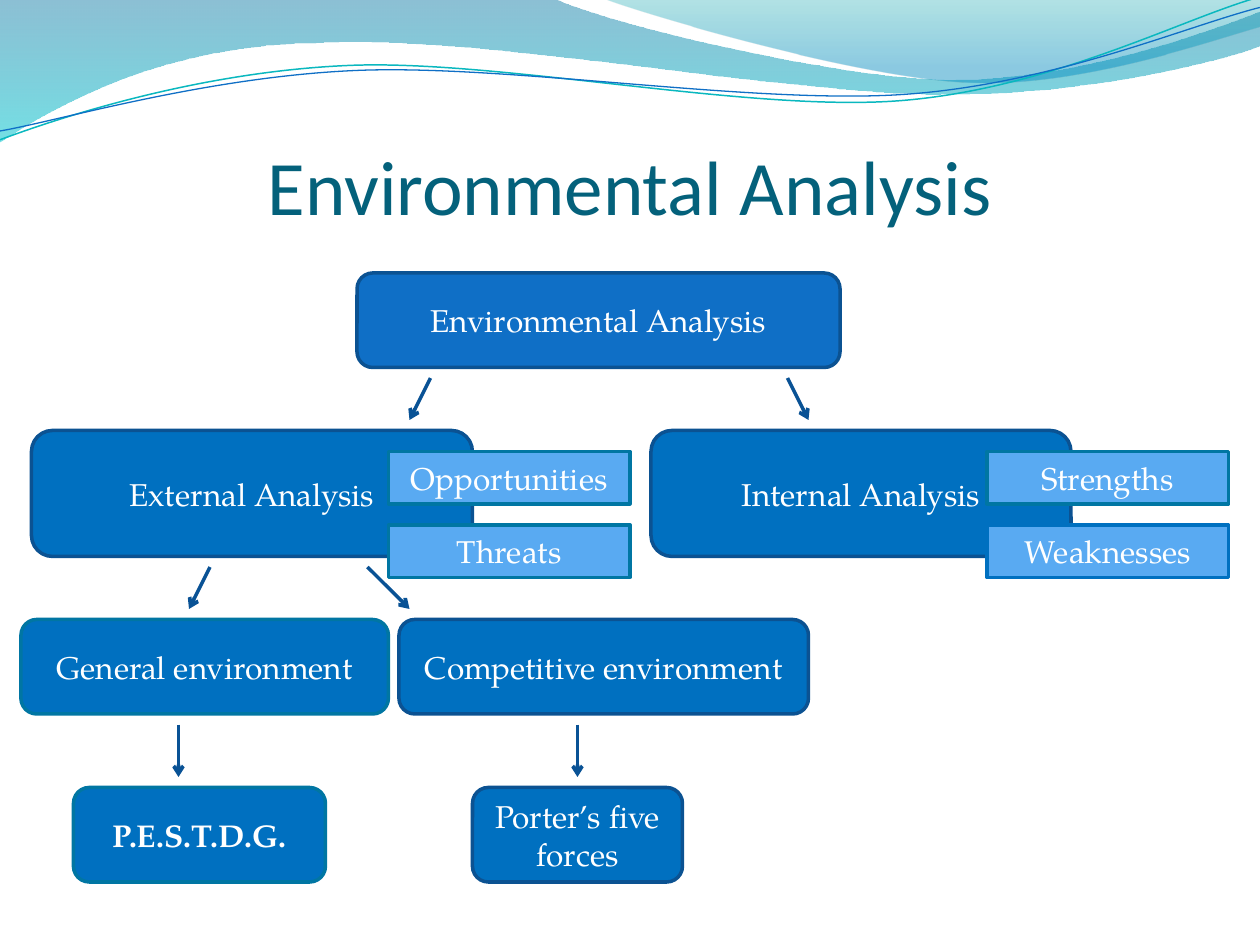
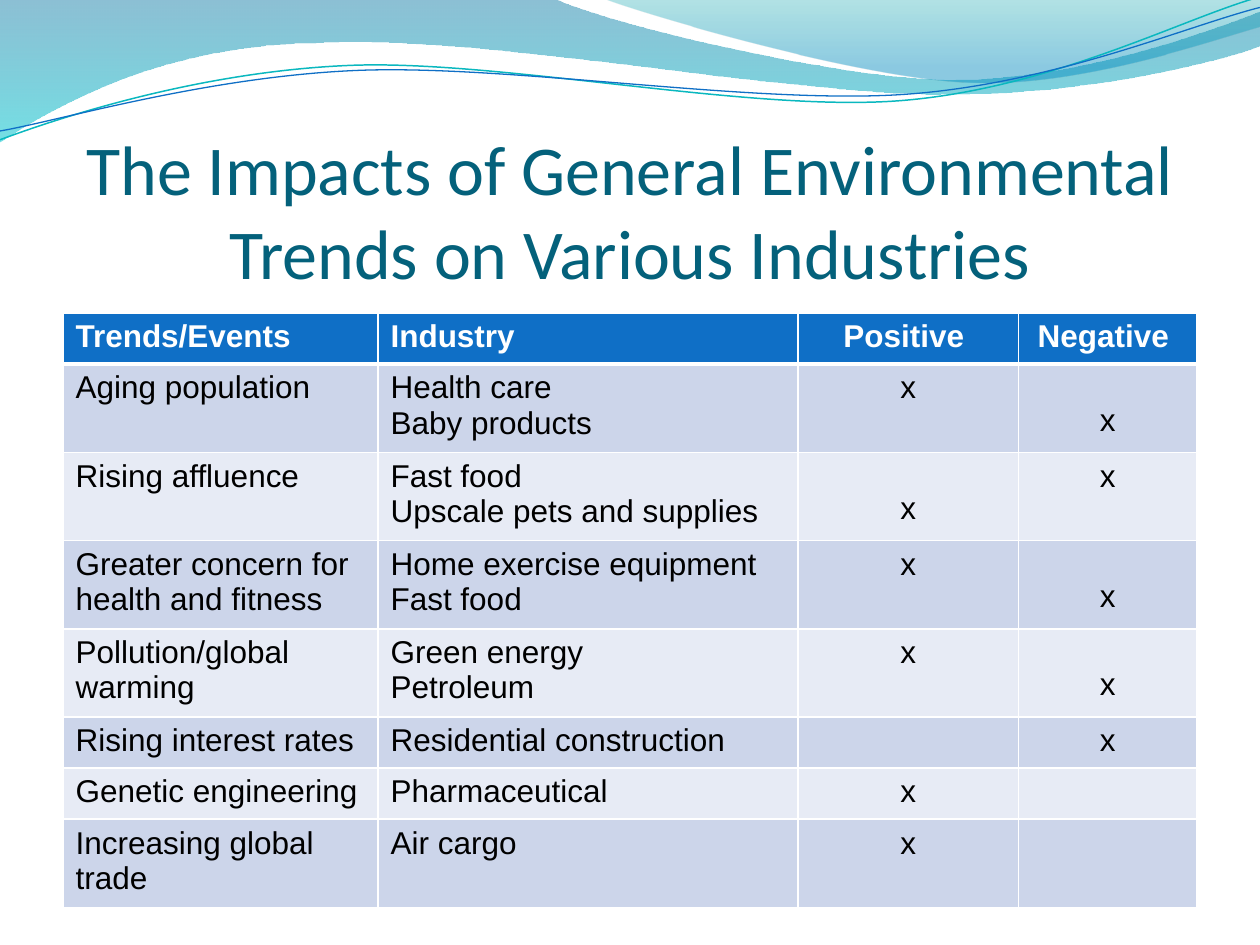
"""Build two slides on environmental analysis: a diagram and a trends table."""
from math import cos, radians, sin
from lxml.etree import SubElement
from pptx import Presentation
from pptx.dml.color import RGBColor
from pptx.enum.shapes import MSO_CONNECTOR, MSO_SHAPE
from pptx.enum.text import MSO_ANCHOR as ANCHOR, PP_ALIGN as ALIGN
from pptx.oxml import parse_xml
from pptx.oxml.ns import nsdecls, qn
from pptx.util import Pt

WHITE = RGBColor(0xFF, 0xFF, 0xFF)
BLACK = RGBColor(0, 0, 0)
TITLE = RGBColor(0x04, 0x61, 0x7B)
ACCENT = RGBColor(0x0F, 0x6F, 0xC6)
BLUE = RGBColor(0x00, 0x70, 0xC0)
LIGHT = RGBColor(0x59, 0xAA, 0xF2)
NAVY = RGBColor(0x0B, 0x52, 0x92)
ARROW = RGBColor(0x09, 0x52, 0x95)
TEAL = RGBColor(0x00, 0x76, 0xA3)
AQUA = RGBColor(0x0A, 0xB8, 0xBF)
BANDS = (RGBColor(0xCC, 0xD5, 0xEA), RGBColor(0xE7, 0xEB, 0xF5))
WAVE_STOPS = ((0, RGBColor(0x00, 0x74, 0xA1), 45), (100, RGBColor(0x00, 0xC6, 0xCF), 55))
CREST_STOPS = ((0, RGBColor(0x00, 0xA1, 0xA9), 30), (80, RGBColor(0x00, 0x8B, 0xBF), 45))

SERIF, SANS, HEADING = "TeX Gyre Pagella", "Arial", "Calibri"
LINE_HEIGHT = 18.4
MARGIN = 3.6
TILT = -2.7

WAVE = [(0, -0.7), (316.8, -0.7),
        (342.7, 12.2, 478.1, 45.4, 545.8, 45.4), (614.2, 45.4, 689.8, 18.7, 720, 6.5),
        (720.7, 25.9),
        (707.8, 31.7, 626.4, 54.7, 537.1, 54), (447.8, 54, 275, 20.2, 185, 24.5),
        (92.9, 25.2, 33.1, 59.8, -0.7, 81.4), (0, -0.7)]
CREST = [(344.9, -0.7),
         (366.5, 7.9, 491, 44.6, 553.7, 46.8), (616.3, 49.7, 691.9, 23, 720, 15.1),
         (720, 0), (344.9, -0.7)]
AQUA_LINE = [(0, 79.9), (34.6, 67, 113.8, 41, 199.4, 37.4),
             (284.4, 33.8, 427, 64.1, 513.4, 57.6), (599.8, 51.1, 675.4, 10.8, 718.6, -1.4)]
BLUE_LINE = [(0, 74.9), (33.8, 69.1, 118.1, 43.9, 203.8, 40.3),
             (290.2, 36.7, 429.8, 59.8, 516.2, 54), (601.9, 48.2, 677.5, 15.1, 720, 4.3)]

BOXES = [
    ("Environmental Analysis", 204, 156, 276, 54, ACCENT, NAVY),
    ("P.E.S.T.D.G.", 42, 450, 144, 54, BLUE, TEAL),
    ("Competitive environment", 228, 354, 234, 54, BLUE, NAVY),
    ("General environment", 12, 354, 210, 54, BLUE, TEAL),
    ("Internal Analysis", 372, 246, 240, 72, BLUE, NAVY),
    ("External Analysis", 18, 246, 252, 72, BLUE, NAVY),
    ("Porter’s five forces", 270, 450, 120, 54, BLUE, NAVY),
]
TAGS = [
    ("Opportunities", 222, 258, TEAL),
    ("Threats", 222, 300, TEAL),
    ("Weaknesses", 564, 300, BLUE),
    ("Strengths", 564, 258, TEAL),
]
ARROWS = [(246, 216, 234, 240), (450, 216, 462, 240), (120, 324, 108, 348),
          (210, 324, 234, 348), (102, 414, 102, 444), (330, 414, 330, 444)]

HEADERS = ("Trends/Events", "Industry", "Positive ", "Negative ")
COLUMNS = (180, 240, 126, 102)
TRENDS = [
    ("Aging population", "Health care\nBaby products", 0, 1),
    ("Rising affluence ", "Fast food\nUpscale pets and supplies", 1, 0),
    ("Greater concern for health and fitness", "Home exercise equipment\nFast food", 0, 1),
    ("Pollution/global warming ", "Green energy \nPetroleum", 0, 1),
    ("Rising interest rates ", "Residential construction ", None, 0),
    ("Genetic engineering", "Pharmaceutical ", 0, None),
    ("Increasing global trade", "Air cargo", 0, None),
]


def write(tf, text, size=18, font=SERIF, color=WHITE, bold=False,
          align=ALIGN.CENTER, anchor=None):
    """Fill a text frame, one paragraph per line of text."""
    tf.word_wrap = True
    if anchor is not None:
        tf.vertical_anchor = anchor
    for i, line in enumerate(text.split("\n")):
        p = tf.add_paragraph() if i else tf.paragraphs[0]
        p.alignment = align
        r = p.add_run()
        r.text = line
        r.font.size, r.font.name, r.font.bold = Pt(size), font, bold
        r.font.color.rgb = color


def level(segments, angle):
    """Turn segments back by an angle about the middle of their end points."""
    xs, ys = zip(*(segment[-2:] for segment in segments))
    cx, cy = (min(xs) + max(xs)) / 2, (min(ys) + max(ys)) / 2
    c, s = cos(radians(-angle)), sin(radians(-angle))
    return [tuple(v for x, y in zip(segment[::2], segment[1::2])
                  for v in (cx + (x - cx) * c - (y - cy) * s,
                            cy + (x - cx) * s + (y - cy) * c))
            for segment in segments]


def add_curve(s, segments, closed=False):
    """Draw an outline whose six-number segments are cubic curves."""
    corners = [(Pt(x), Pt(y)) for *_, x, y in segments]
    builder = s.shapes.build_freeform(*corners[0])
    builder.add_line_segments(corners[1:-1] if closed else corners[1:], close=closed)
    sp = builder.convert_to_shape()
    sp.shadow.inherit = False
    outline = sp.element.spPr.find(".//" + qn("a:path"))
    for node, segment in zip(list(outline), segments):
        if len(segment) == 6:
            curve = outline.makeelement(qn("a:cubicBezTo"))
            for x, y in zip(segment[::2], segment[1::2]):
                SubElement(curve, qn("a:pt"), x=str(Pt(x) - sp.left), y=str(Pt(y) - sp.top))
            outline.replace(node, curve)
    return sp


def add_area(s, segments, stops):
    """Draw a closed area with a transparent vertical gradient."""
    sp = add_curve(s, segments, closed=True)
    gs = "".join(
        f'<a:gs pos="{pos * 1000}"><a:srgbClr val="{color}">'
        f'<a:alpha val="{alpha * 1000}"/></a:srgbClr></a:gs>'
        for pos, color, alpha in stops)
    sp.element.spPr.insert(2, parse_xml(
        f'<a:gradFill {nsdecls("a")}><a:gsLst>{gs}</a:gsLst>'
        '<a:lin ang="5400000" scaled="0"/></a:gradFill>'))
    sp.line.fill.background()
    return sp


def add_wave_line(s, segments, color, width):
    """Draw an open, tilted curve."""
    sp = add_curve(s, level(segments, TILT))
    sp.rotation = TILT
    sp.fill.background()
    sp.line.color.rgb, sp.line.width = color, Pt(width)
    return sp


def add_master_waves(prs, s):
    """Draw the wave band once and move it to the slide master."""
    waves = [add_area(s, WAVE, WAVE_STOPS),
             add_area(s, CREST, CREST_STOPS),
             add_wave_line(s, AQUA_LINE, AQUA, 0.85),
             add_wave_line(s, BLUE_LINE, ACCENT, 0.75)]
    for number, sp in enumerate(waves, 101):
        sp.element.nvSpPr.cNvPr.set("id", str(number))
        prs.slide_master.shapes.element.append(sp.element)


def add_title(s, text, top, size):
    """Add the centred slide title."""
    tf = s.shapes.add_textbox(Pt(36), Pt(top), Pt(648), Pt(90)).text_frame
    tf.margin_left = tf.margin_right = tf.margin_bottom = 0
    write(tf, text, size=size, font=HEADING, color=TITLE, anchor=ANCHOR.BOTTOM)


def add_box(s, text, x, y, w, h, fill, line, kind=MSO_SHAPE.ROUNDED_RECTANGLE, bold=False):
    """Add a filled box with a centred label."""
    sp = s.shapes.add_shape(kind, Pt(x), Pt(y), Pt(w), Pt(h))
    sp.shadow.inherit = False
    sp.fill.solid()
    sp.fill.fore_color.rgb = fill
    sp.line.color.rgb, sp.line.width = line, Pt(2)
    write(sp.text_frame, text, bold=bold, anchor=ANCHOR.MIDDLE)


def add_arrow(s, x1, y1, x2, y2):
    """Add a straight arrow with an open head."""
    c = s.shapes.add_connector(MSO_CONNECTOR.STRAIGHT, Pt(x1), Pt(y1), Pt(x2), Pt(y2))
    c.line.color.rgb, c.line.width = ARROW, Pt(2)
    SubElement(c.line._get_or_add_ln(), qn("a:tailEnd"), type="arrow")
    SubElement(c.element.spPr, qn("a:effectLst"))


def style_cell(cell, fill, bottom=1):
    """Set the fill and the white borders of a table cell."""
    cell.fill.solid()
    cell.fill.fore_color.rgb = fill
    tc_pr = cell._tc.get_or_add_tcPr()
    for i, (side, width) in enumerate((("L", 1), ("R", 1), ("T", 1), ("B", bottom))):
        tc_pr.insert(i, parse_xml(
            f'<a:ln{side} {nsdecls("a")} w="{Pt(width)}"><a:solidFill>'
            f'<a:srgbClr val="{WHITE}"/></a:solidFill></a:ln{side}>'))


def add_trend_table(s):
    """Add the table of trends, industries and impact marks."""
    frame = s.shapes.add_table(len(TRENDS) + 1, len(COLUMNS),
                               Pt(36), Pt(178.8), Pt(648), Pt(340))
    table = frame.table
    for column, width in zip(table.columns, COLUMNS):
        column.width = Pt(width)
    for row in table.rows:
        row.height = Pt(29.2)
    table.rows[1].height = Pt(49.7)
    frame.height = Pt(340)
    aligns = (ALIGN.LEFT, ALIGN.LEFT, ALIGN.CENTER, ALIGN.CENTER)
    for j, (header, align) in enumerate(zip(HEADERS, aligns)):
        cell = table.cell(0, j)
        style_cell(cell, ACCENT, bottom=3)
        write(cell.text_frame, header, font=SANS, bold=True, align=align)
    for i, trend in enumerate(TRENDS, 1):
        for j, (value, align) in enumerate(zip(trend, aligns)):
            cell = table.cell(i, j)
            style_cell(cell, BANDS[(i - 1) % 2])
            if value is None:
                continue
            if j >= 2:
                cell.margin_top = Pt(MARGIN + value * LINE_HEIGHT)
                value = "x"
            write(cell.text_frame, value, font=SANS, color=BLACK, align=align)


def add_diagram(s):
    """Add the boxes, arrows and tags of the analysis tree."""
    for box in BOXES:
        add_box(s, *box, bold=box[0] == "P.E.S.T.D.G.")
    for arrow in ARROWS:
        add_arrow(s, *arrow)
    for text, x, y, line in TAGS:
        add_box(s, text, x, y, 138, 30, LIGHT, line, kind=MSO_SHAPE.RECTANGLE)


def main():
    """Build and save the presentation."""
    prs = Presentation()
    prs.slide_width, prs.slide_height = Pt(720), Pt(540)
    blank = prs.slide_layouts[6]

    s = prs.slides.add_slide(blank)
    add_master_waves(prs, s)
    add_title(s, "Environmental Analysis", 42, 44)
    add_diagram(s)

    s = prs.slides.add_slide(blank)
    add_title(s, "The Impacts of General Environmental Trends on Various Industries", 77.8, 40)
    add_trend_table(s)

    prs.save("out.pptx")


main()
